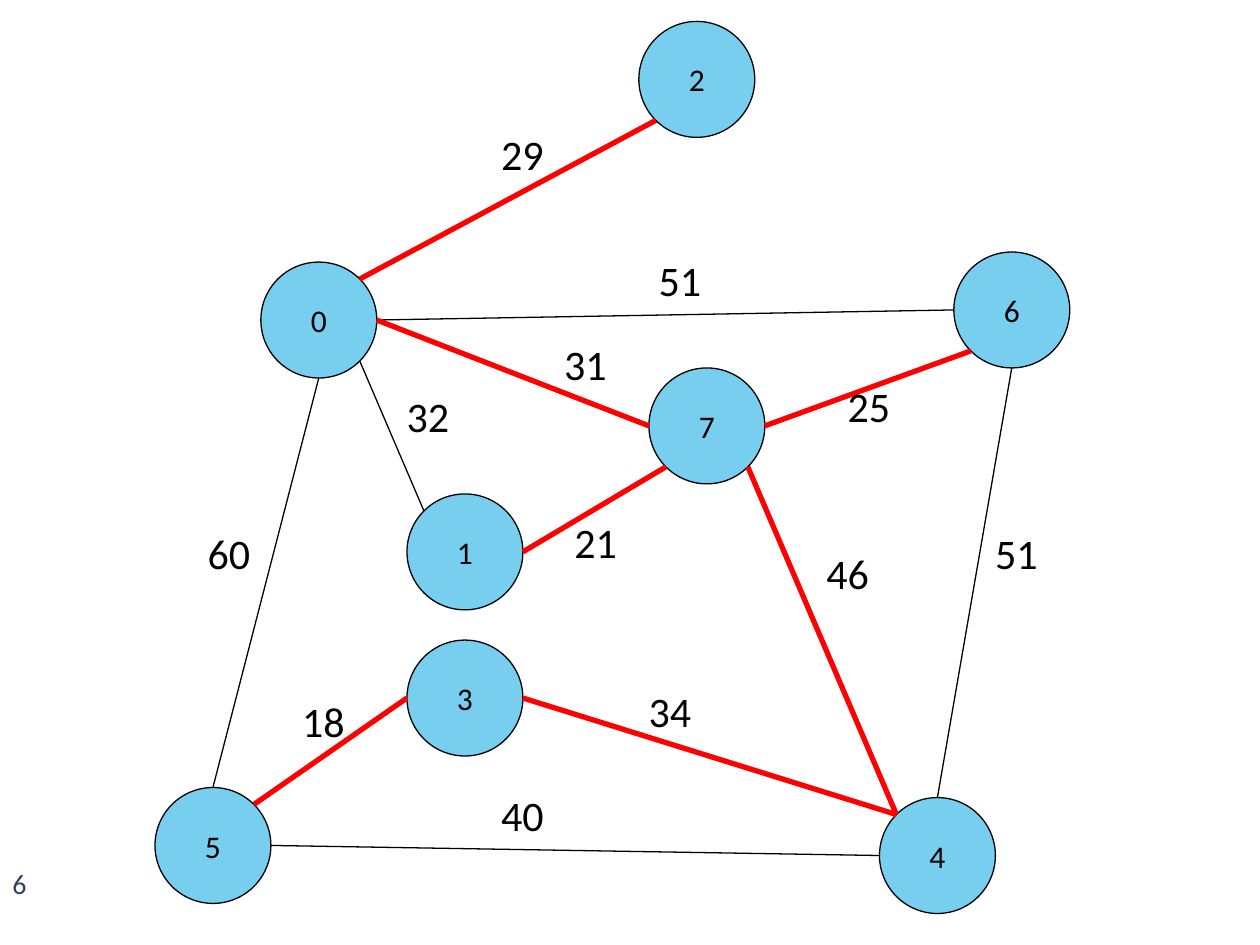
"""Draw a weighted graph with its minimum spanning tree highlighted in red."""
from dataclasses import dataclass
from enum import Enum
from math import cos, radians, sin

from lxml.etree import SubElement
from pptx import Presentation
from pptx.dml.color import RGBColor as Rgb
from pptx.enum.shapes import MSO_CONNECTOR as Connector, MSO_SHAPE as Shape
from pptx.enum.text import MSO_ANCHOR as Anchor, MSO_AUTO_SIZE as AutoSize, PP_ALIGN as Align
from pptx.oxml.ns import qn
from pptx.shapes.shapetree import SlideShapes
from pptx.text.text import TextFrame
from pptx.util import Inches, Pt


@dataclass(frozen=True)
class Theme:
    font: str = "Calibri"
    ink: Rgb = Rgb(0x00, 0x00, 0x00)
    node_fill: Rgb = Rgb(0x77, 0xCE, 0xEF)
    tree: Rgb = Rgb(0xFF, 0x00, 0x00)
    page_number: Rgb = Rgb(0x34, 0x40, 0x68)
    node_size: float = 18
    weight_size: float = 24
    page_size: float = 16
    thin: float = 0.75
    thick: float = 3


class Site(Enum):
    RIGHT = 0
    LOWER_RIGHT = 45
    BOTTOM = 90
    LOWER_LEFT = 135
    LEFT = 180
    UPPER_LEFT = 225
    TOP = 270
    UPPER_RIGHT = 315


@dataclass(frozen=True)
class Node:
    name: str
    left: float
    top: float

    def point(self, site: Site) -> tuple[float, float]:
        radius = DIAMETER / 2
        angle = radians(site.value)
        return (self.left + radius * (1 + cos(angle)),
                self.top + radius * (1 + sin(angle)))


@dataclass(frozen=True)
class Edge:
    start: str
    start_site: Site
    end: str
    end_site: Site
    weight: str
    weight_left: float
    weight_top: float
    in_tree: bool = False


THEME = Theme()
DIAMETER = 0.92
WEIGHT_WIDTH, WEIGHT_HEIGHT = 0.54, 0.5

NODES = [
    Node("0", 2.07, 2.08),
    Node("4", 6.98, 6.33),
    Node("3", 3.23, 5.08),
    Node("5", 1.23, 6.25),
    Node("1", 3.23, 3.92),
    Node("7", 5.15, 2.92),
    Node("6", 7.57, 2.0),
    Node("2", 5.07, 0.17),
]

EDGES = [
    Edge("0", Site.UPPER_RIGHT, "2", Site.LOWER_LEFT, "29", 3.88, 0.97, True),
    Edge("0", Site.RIGHT, "6", Site.LEFT, "51", 5.13, 1.97),
    Edge("0", Site.RIGHT, "7", Site.LEFT, "31", 4.38, 2.64, True),
    Edge("0", Site.LOWER_RIGHT, "1", Site.UPPER_LEFT, "32", 3.13, 3.05),
    Edge("0", Site.BOTTOM, "5", Site.TOP, "60", 1.55, 4.14),
    Edge("5", Site.UPPER_RIGHT, "3", Site.LEFT, "18", 2.3, 5.47, True),
    Edge("3", Site.RIGHT, "4", Site.UPPER_LEFT, "34", 5.05, 5.39, True),
    Edge("5", Site.RIGHT, "4", Site.LEFT, "40", 3.88, 6.22),
    Edge("1", Site.RIGHT, "7", Site.LOWER_LEFT, "21", 4.46, 4.05, True),
    Edge("7", Site.RIGHT, "6", Site.LOWER_LEFT, "25", 6.63, 2.97, True),
    Edge("7", Site.LOWER_RIGHT, "4", Site.UPPER_LEFT, "46", 6.46, 4.3, True),
    Edge("6", Site.BOTTOM, "4", Site.TOP, "51", 7.8, 4.14),
]


def add_text(frame: TextFrame, text: str, size: float, color: Rgb) -> None:
    """Add one styled run to the first paragraph of a frame."""
    run = frame.paragraphs[0].add_run()
    run.text = text
    run.font.name = THEME.font
    run.font.size = Pt(size)
    run.font.color.rgb = color


def draw_node(shapes: SlideShapes, node: Node) -> None:
    """Draw a graph node as a named circle."""
    circle = shapes.add_shape(Shape.OVAL, Inches(node.left), Inches(node.top),
                              Inches(DIAMETER), Inches(DIAMETER))
    circle.shadow.inherit = False
    circle.fill.solid()
    circle.fill.fore_color.rgb = THEME.node_fill
    circle.line.color.rgb = THEME.ink
    circle.line.width = Pt(THEME.thin)
    frame = circle.text_frame
    frame.word_wrap = False
    frame.vertical_anchor = Anchor.MIDDLE
    frame.paragraphs[0].alignment = Align.CENTER
    add_text(frame, node.name, THEME.node_size, THEME.ink)


def draw_edge(shapes: SlideShapes, edge: Edge, nodes: dict[str, Node]) -> None:
    """Draw the line of an edge, thick and red when it is in the tree."""
    start = nodes[edge.start].point(edge.start_site)
    end = nodes[edge.end].point(edge.end_site)
    line = shapes.add_connector(Connector.STRAIGHT,
                                *(Inches(value) for value in (*start, *end)))
    line.line.color.rgb = THEME.tree if edge.in_tree else THEME.ink
    line.line.width = Pt(THEME.thick if edge.in_tree else THEME.thin)
    SubElement(line._element.spPr, qn("a:effectLst"))


def draw_weight(shapes: SlideShapes, edge: Edge) -> None:
    """Write the weight of an edge beside its line."""
    label = shapes.add_textbox(Inches(edge.weight_left), Inches(edge.weight_top),
                               Inches(WEIGHT_WIDTH), Inches(WEIGHT_HEIGHT))
    label.text_frame.word_wrap = False
    label.text_frame.auto_size = AutoSize.SHAPE_TO_FIT_TEXT
    add_text(label.text_frame, edge.weight, THEME.weight_size, THEME.ink)


def draw_page_number(shapes: SlideShapes, number: str) -> None:
    """Write the page number in the lower left corner."""
    label = shapes.add_textbox(Inches(0), Inches(6.83), Inches(0.58), Inches(0.42))
    label.text_frame.word_wrap = True
    add_text(label.text_frame, number, THEME.page_size, THEME.page_number)


def main() -> None:
    """Build the slide and save it."""
    deck = Presentation()
    deck.slide_width, deck.slide_height = Inches(10), Inches(7.5)
    shapes = deck.slides.add_slide(deck.slide_layouts[6]).shapes
    draw_page_number(shapes, "6")
    for node in NODES:
        draw_node(shapes, node)
    nodes = {node.name: node for node in NODES}
    for edge in EDGES:
        draw_edge(shapes, edge, nodes)
    for edge in EDGES:
        draw_weight(shapes, edge)
    deck.save("out.pptx")


if __name__ == "__main__":
    main()
